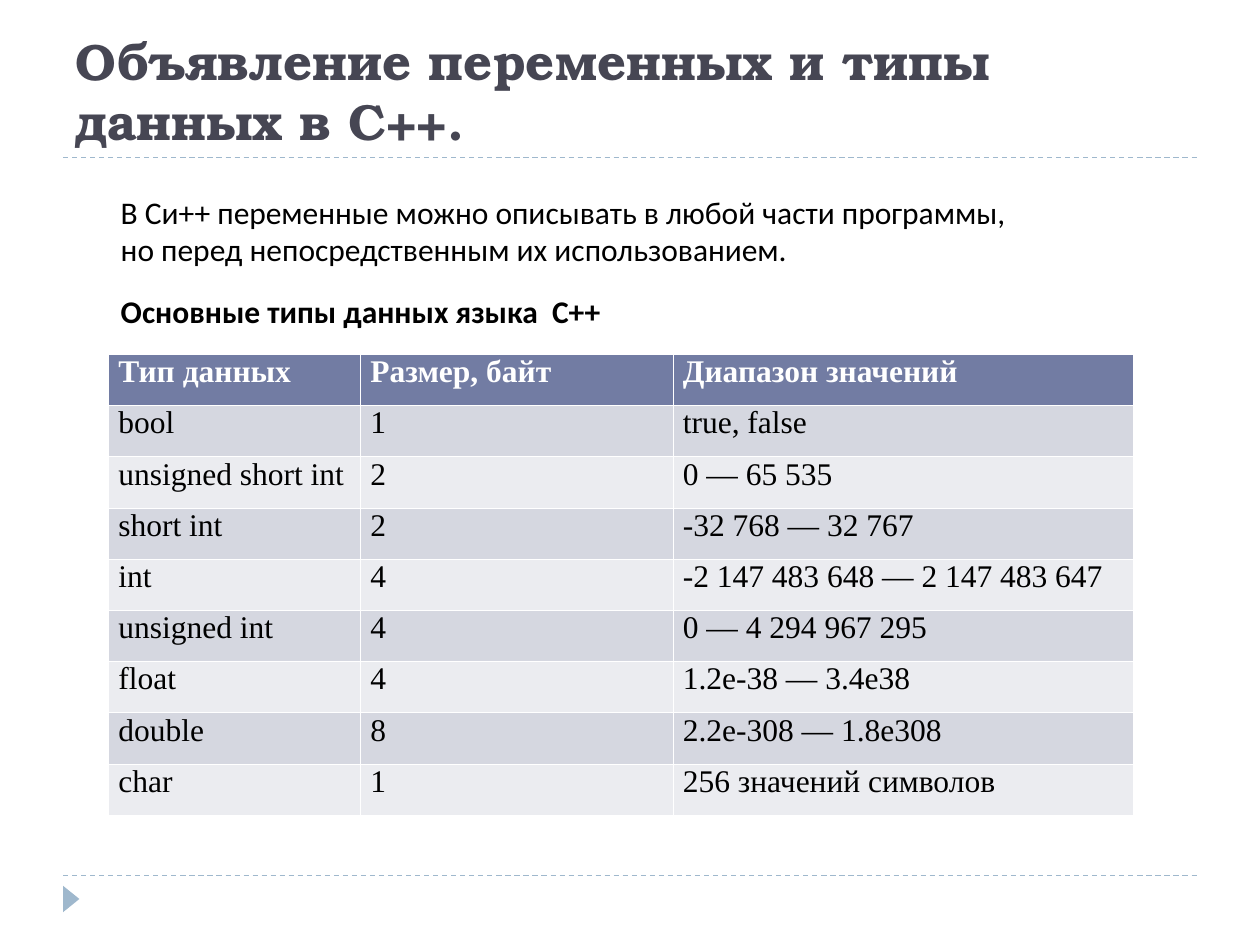
from lxml.etree import SubElement
from pptx import Presentation
from pptx.dml.color import RGBColor
from pptx.enum.dml import MSO_LINE_DASH_STYLE as Dash
from pptx.enum.shapes import MSO_CONNECTOR, MSO_SHAPE
from pptx.enum.text import MSO_ANCHOR, MSO_AUTO_SIZE as AutoSize, PP_ALIGN
from pptx.oxml.ns import qn
from pptx.util import Inches, Pt

WIDTH, HEIGHT = Inches(10), Inches(7.5)
COLUMN, ROW = WIDTH / 100, HEIGHT / 75

WHITE = RGBColor(0xFF, 0xFF, 0xFF)
BLACK = RGBColor(0x00, 0x00, 0x00)
SLATE = RGBColor(0x46, 0x46, 0x53)
SKY = RGBColor(0x9F, 0xB8, 0xCD)
INDIGO = RGBColor(0x72, 0x7C, 0xA3)
BANDS = RGBColor(0xEB, 0xEC, 0xF0), RGBColor(0xD5, 0xD7, 0xE0)

HAIRLINE, HEADER_LINE = 0.06, 0.17
TYPE_COLUMNS = 20, 24.8, 36.5
TYPE_ROWS = [
    ("Тип данных", "Размер, байт", "Диапазон значений"),
    ("bool", "1", "true, false"),
    ("unsigned short int", "2", "0 — 65 535"),
    ("short int", "2", "-32 768 — 32 767"),
    ("int", "4", "-2 147 483 648 — 2 147 483 647"),
    ("unsigned int", "4", "0 — 4 294 967 295"),
    ("float", "4", "1.2e-38 — 3.4e38"),
    ("double", "8", "2.2e-308 — 1.8e308"),
    ("сhar", "1", "256 значений символов"),
]


def across(columns):
    return round(columns * COLUMN)


def down(rows):
    return round(rows * ROW)


def area(left, top, width, height):
    return across(left), down(top), across(width), down(height)


def write(frame, text, *, font="Calibri", size=18, color=BLACK, bold=False,
          spacing=None, after=None):
    frame.word_wrap = True
    para = frame.paragraphs[0]
    para.alignment = PP_ALIGN.LEFT
    para.line_spacing = spacing
    para.space_after = after
    span = para.add_run()
    span.text = text
    span.font.name = font
    span.font.size = Pt(size)
    span.font.bold = bold
    span.font.color.rgb = color


def add_rule(slide, top):
    rule = slide.shapes.add_connector(
        MSO_CONNECTOR.STRAIGHT, across(5), down(top), across(95), down(top))
    rule.line.color.rgb = SKY
    rule.line.width = Pt(0.75)
    rule.line.dash_style = Dash.DASH
    SubElement(rule._element.spPr, qn("a:effectLst"))


def add_marker(slide):
    marker = slide.shapes.add_shape(
        MSO_SHAPE.ISOSCELES_TRIANGLE, *area(4.6, 70.7, 2.1, 1.3))
    marker.rotation = 90
    marker.shadow.inherit = False
    marker.fill.solid()
    marker.fill.fore_color.rgb = SKY
    marker.line.fill.background()


def set_title(slide, text):
    title = slide.shapes.title
    title.left, title.top, title.width, title.height = area(5, 2.5, 90, 10)
    frame = title.text_frame
    frame.auto_size = AutoSize.NONE
    frame.vertical_anchor = MSO_ANCHOR.BOTTOM
    write(frame, text, font="TeX Gyre Bonum", size=29, color=SLATE, bold=True)


def add_text(slide, place, text, **style):
    box = slide.shapes.add_textbox(*area(*place))
    box.text_frame.auto_size = AutoSize.SHAPE_TO_FIT_TEXT
    write(box.text_frame, text, **style)


def add_border(cell, side, width):
    line = SubElement(cell._tc.get_or_add_tcPr(), qn(f"a:ln{side}"),
                      w=str(Pt(width)))
    fill = SubElement(line, qn("a:solidFill"))
    SubElement(fill, qn("a:srgbClr"), val=str(WHITE))


def format_cell(cell, text, row):
    header = row == 0
    cell.margin_left = cell.margin_right = Inches(0.08)
    cell.margin_top = cell.margin_bottom = Inches(0.05)
    thick_side = {0: "B", 1: "T"}.get(row)
    for side in "LRTB":
        add_border(cell, side, HEADER_LINE if side == thick_side else HAIRLINE)
    cell.fill.solid()
    cell.fill.fore_color.rgb = INDIGO if header else BANDS[row % 2]
    write(cell.text_frame, text, font="Times New Roman", bold=header,
          color=WHITE if header else BLACK, spacing=0.8, after=Pt(10))


def add_type_table(slide):
    place = area(8.6, 28.1, sum(TYPE_COLUMNS), 36.6)
    table = slide.shapes.add_table(
        len(TYPE_ROWS), len(TYPE_COLUMNS), *place).table
    for column, width in zip(table.columns, TYPE_COLUMNS):
        column.width = across(width)
    for row, texts in enumerate(TYPE_ROWS):
        for column, text in enumerate(texts):
            format_cell(table.cell(row, column), text, row)


def main():
    deck = Presentation()
    deck.slide_width, deck.slide_height = WIDTH, HEIGHT
    slide = deck.slides.add_slide(deck.slide_layouts[5])
    for top in (69.5, 12.5):
        add_rule(slide, top)
    add_marker(slide)
    set_title(slide, "Объявление переменных и типы данных в C++.")
    add_text(slide, (8.6, 14.8, 75, 7),
             "В Си++ переменные можно описывать в любой части программы, "
             "но перед непосредственным их использованием.")
    add_text(slide, (8.6, 22.7, 69.5, 4),
             "Основные типы данных языка  C++", bold=True)
    add_type_table(slide)
    deck.save("out.pptx")


if __name__ == "__main__":
    main()
